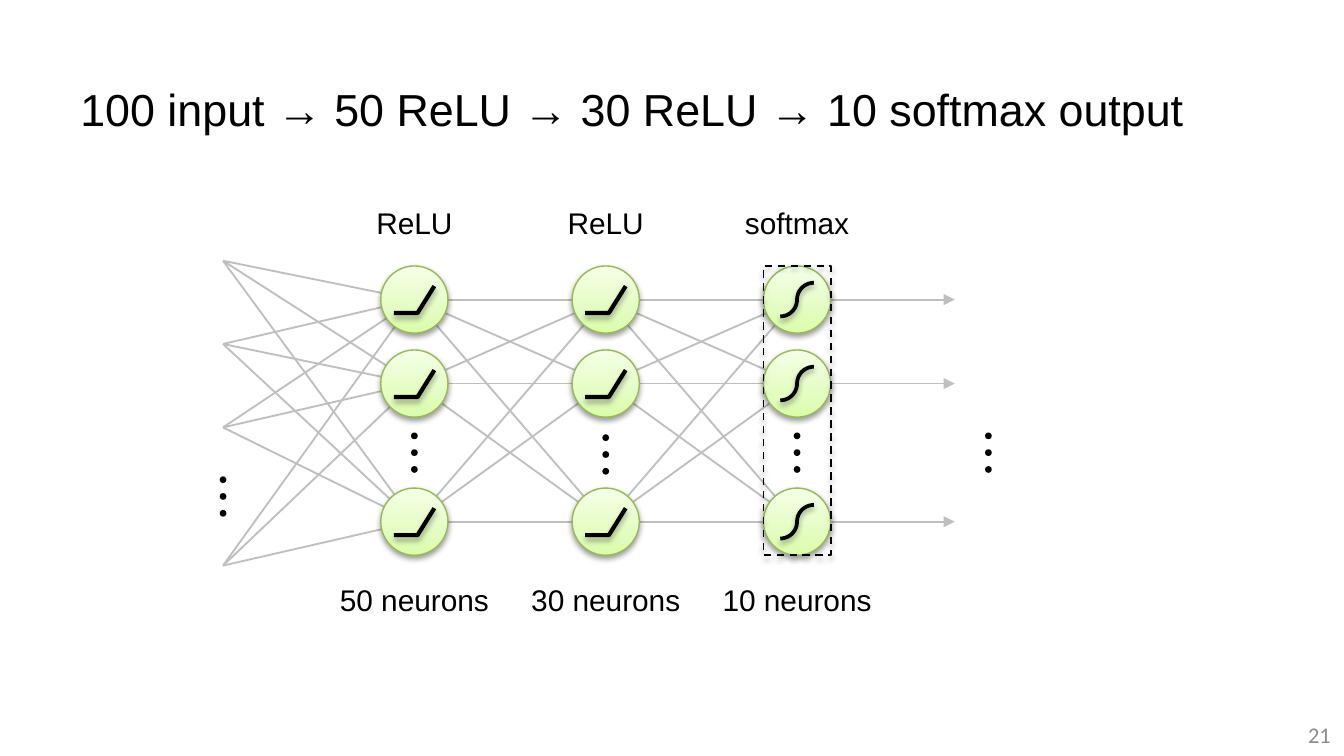
from copy import deepcopy
from math import cos, pi, sin

from lxml.etree import SubElement
from pptx import Presentation
from pptx.dml.color import RGBColor
from pptx.enum.dml import MSO_LINE
from pptx.enum.shapes import MSO_CONNECTOR, MSO_SHAPE
from pptx.enum.text import MSO_ANCHOR, PP_ALIGN
from pptx.oxml.ns import qn
from pptx.util import Pt

# Content
TITLE = "100 input → 50 ReLU → 30 ReLU → 10 softmax output"
PAGE = "21"
LAYERS = [("ReLU", "50 neurons"), ("ReLU", "30 neurons"), ("softmax", "10 neurons")]

# Geometry, in points
COLS = [119.5 + 102.5 * i for i in range(5)]  # inputs, three layers, outputs
ROWS = [160.5, 205.5, 279.5]
INPUTS = [139.7, 184.3, 229, 303]
DOTS = [266, 242.5, 243.5, 242.5, 242.5]  # middle dot of each column
SIZE, DOT, GAP, TIP = 36, 3.6, 9, 511.5

# Formats
GREENS = [(0, "DAFDA7"), (0.35, "E4FCC2"), (1, "F5FFE7")]
HEAD = {"name": "Arial", "size": Pt(24)}
LABEL = {"name": "Arial", "size": Pt(16)}
SMALL = {"name": "Calibri", "size": Pt(12)}
FRAME = {"margin_left": Pt(7.2), "margin_right": Pt(7.2),
         "vertical_anchor": MSO_ANCHOR.MIDDLE}

prs = Presentation()
prs.slide_width, prs.slide_height = Pt(720), Pt(405)
slide = prs.slides.add_slide(prs.slide_layouts[6])
shapes = slide.shapes


def paint(hue):
    return RGBColor.from_string(hue)


def apply(obj, form):
    for key, val in form.items():
        setattr(obj, key, val)


def stroke(shape, hue, width, **form):
    shape.line.color.rgb = paint(hue)
    apply(shape.line, {"width": Pt(width), **form})


def shade(shape, alpha, dist):
    shape.shadow.inherit = False
    effects = shape._element.spPr.find(qn("a:effectLst"))
    outer = SubElement(effects, qn("a:outerShdw"), blurRad=str(Pt(3.1)),
                       dist=str(Pt(dist)), dir="5400000", rotWithShape="0")
    tint = SubElement(outer, qn("a:srgbClr"), val="000000")
    SubElement(tint, qn("a:alpha"), val=str(alpha * 1000))


def link(start, end, arrow=False):
    line = shapes.add_connector(MSO_CONNECTOR.STRAIGHT, *map(Pt, start + end))
    stroke(line, "BFBFBF", 1)
    props = line._element.spPr
    if arrow:
        SubElement(props.find(qn("a:ln")), qn("a:tailEnd"), type="triangle")
    SubElement(props, qn("a:effectLst"))


def write(text, x, y, w, h, font, align, hue="000000", wrap=True):
    box = shapes.add_textbox(Pt(x), Pt(y), Pt(w), Pt(h))
    apply(box.text_frame, {**FRAME, "word_wrap": wrap})
    para = box.text_frame.paragraphs[0]
    para.text, para.alignment = text, align
    apply(para.font, font)
    para.font.color.rgb = paint(hue)


def preset(kind, x, y, w, h, parent=shapes):
    """Add a shape centred on x, y."""
    shape = parent.add_shape(kind, Pt(x - w / 2), Pt(y - h / 2), Pt(w), Pt(h))
    shape.shadow.inherit = False
    return shape


def neuron(x, y):
    disc = preset(MSO_SHAPE.OVAL, x, y, SIZE, SIZE)
    fill = disc.fill
    fill.gradient()
    fill.gradient_angle = 90
    stops = disc._element.spPr.find(".//" + qn("a:gsLst"))
    stops.insert(1, deepcopy(stops[0]))
    for stop, (pos, hue) in zip(fill.gradient_stops, GREENS):
        stop.position = pos
        stop.color.rgb = paint(hue)
    stroke(disc, "98B955", 0.75)
    shade(disc, 38, 1.6)


def curve(x, y, points, width):
    spots = [(Pt(x + dx), Pt(y + dy)) for dx, dy in points]
    pen = shapes.build_freeform(*spots[0])
    pen.add_line_segments(spots[1:], close=False)
    shape = pen.convert_to_shape()
    shape.fill.background()
    stroke(shape, "000000", width)
    shade(shape, 35, 1.8)


def ellipsis(x, y):
    group = shapes.add_group_shape()
    for step in (-1, 0, 1):
        dot = preset(MSO_SHAPE.OVAL, x, y + step * GAP, DOT, DOT, group.shapes)
        dot.fill.solid()
        dot.fill.fore_color.rgb = paint("000000")
        dot.line.fill.background()


# Activation curves, relative to the neuron's centre
RAMP = [(-11, 7.2), (1.7, 7.2), (10.7, -7.2)]
turns = [i * pi / 32 for i in range(17)]
lower = [(9 * sin(t) - 9, 9 * cos(t)) for t in turns]
SIGMOID = lower + [(-dx, -dy) for dx, dy in lower[-2::-1]]

# Links between neighbouring columns, then output arrows
levels = [INPUTS, ROWS, ROWS, ROWS]
for i in range(3):
    for a in levels[i]:
        for b in levels[i + 1]:
            link((COLS[i], a), (COLS[i + 1], b))
for y in ROWS:
    link((COLS[3], y), (TIP, y), arrow=True)

# Title and page number
write(TITLE, 36, 40, 648, 36, HEAD, PP_ALIGN.LEFT)
write(PAGE, 558, 383, 162, 21.6, SMALL, PP_ALIGN.RIGHT, "8C8C8C")

# Neurons with their labels
for x, (kind, count) in zip(COLS[1:], LAYERS):
    for y in ROWS:
        neuron(x, y)
        if kind == "softmax":
            curve(x, y, SIGMOID, 2)
        else:
            curve(x, y, RAMP, 2.25)
    for text, y in ((kind, 106), (count, 308)):
        write(text, x - 48, y, 96, 26.6, LABEL, PP_ALIGN.CENTER, wrap=False)

# Omitted items in every column
for x, y in zip(COLS, DOTS):
    ellipsis(x, y)

# Dashed frame around the softmax layer
top, low = ROWS[0], ROWS[-1]
frame = preset(MSO_SHAPE.RECTANGLE, COLS[3], (top + low) / 2, SIZE, low - top + SIZE)
frame.fill.background()
stroke(frame, "000000", 1, dash_style=MSO_LINE.DASH)
shade(frame, 35, 1.8)

prs.save("out.pptx")
